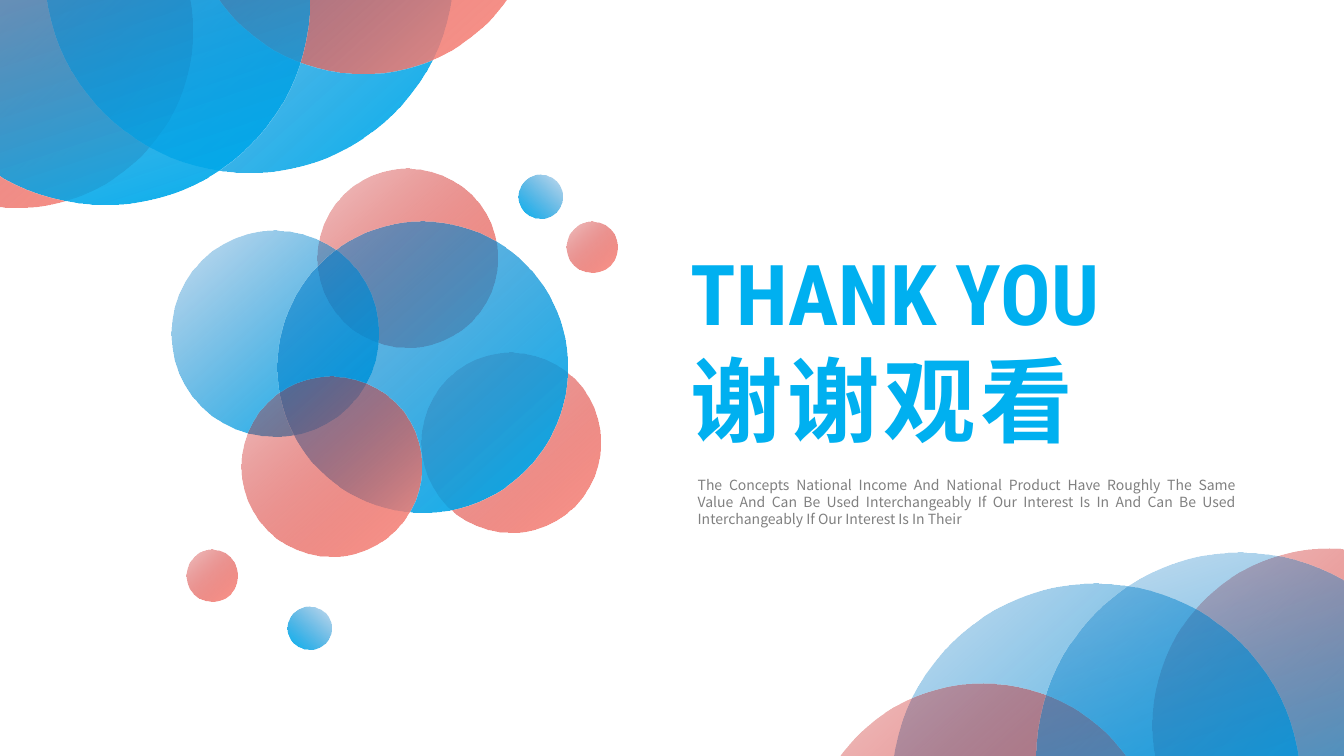
from pptx import Presentation
from pptx.dml.color import RGBColor
from pptx.enum.shapes import MSO_SHAPE
from pptx.enum.text import MSO_ANCHOR, MSO_AUTO_SIZE, PP_ALIGN
from pptx.oxml.ns import qn
from pptx.util import Inches, Pt
from lxml import etree

OVAL = MSO_SHAPE.OVAL
TOP = MSO_ANCHOR.TOP
NO_FIT = MSO_AUTO_SIZE.NONE
LEFT, JUSTIFY = PP_ALIGN.LEFT, PP_ALIGN.JUSTIFY

# Content
COLORS = {"accent": "00B0F0", "body": "808080"}
GRADIENTS = {"red": ("C00000", "FE978C"), "blue": ("0070C0", "00B0F0")}
LATIN, CJK = "Roboto Condensed", "Noto Sans CJK SC"
HEADING = [
    ("THANK YOU", LATIN, 60, 0),
    ("谢谢观看", CJK, 66, 300),
]
DESCRIPTION = (
    "The Concepts National Income And National Product Have Roughly The Same "
    "Value And Can Be Used Interchangeably If Our Interest Is In And Can Be Used "
    "Interchangeably If Our Interest Is In Their"
)

# Bubbles, back to front: gradient, centre x, centre y, diameter,
# clockwise gradient angle, opacity of the first stop in percent
BUBBLES = [
    # top left corner
    ("red", 0.16, 0.31, 3.5, 48, 22),
    ("blue", 2.47, -0.31, 4.05, 48, 22),
    ("red", 3.6, -1.02, 3.5, 48, 22),
    ("blue", 1.04, 0, 4.05, 72, 22),
    # bottom right corner
    ("red", 13.18, 7.19, 3.5, 48, 22),
    ("blue", 10.87, 7.81, 4.05, 48, 22),
    ("red", 9.75, 8.53, 3.5, 48, 22),
    ("blue", 12.3, 7.51, 4.05, 72, 22),
    # centre cluster
    ("red", 4.04, 2.56, 1.78, 48, 22),
    ("red", 5.07, 4.39, 1.78, 48, 22),
    ("blue", 2.73, 3.31, 2.05, 48, 22),
    ("blue", 4.19, 3.64, 2.88, 48, 44),
    ("blue", 5.36, 1.95, 0.43, 132, 22),
    ("red", 5.87, 2.45, 0.51, 48, 22),
    ("red", 3.29, 4.63, 1.78, 48, 22),
    ("blue", 3.07, 6.23, 0.43, 132, 22),
    ("red", 2.1, 5.71, 0.51, 48, 22),
]


def add_bubble(slide, gradient, x, y, diameter, angle, opacity):
    corner = Inches(x - diameter / 2), Inches(y - diameter / 2)
    bubble = slide.shapes.add_shape(OVAL, *corner, Inches(diameter), Inches(diameter))
    bubble.shadow.inherit = False
    bubble.line.fill.background()
    bubble.fill.gradient()
    bubble.fill.gradient_angle = 360 - angle
    for stop, color in zip(bubble.fill.gradient_stops, GRADIENTS[gradient]):
        stop.color.rgb = RGBColor.from_string(color)
    first_color = next(bubble._element.spPr.iter(qn("a:srgbClr")))
    etree.SubElement(first_color, qn("a:alpha"), val=str(opacity * 1000))


def format_frame(frame, **values):
    for name, value in values.items():
        setattr(frame, name, value)


def add_run(paragraph, text, typeface, size, color, bold=False, spacing=0):
    run = paragraph.add_run()
    run.text = text
    font_format = {"name": typeface, "size": Pt(size), "bold": bold}
    for name, value in font_format.items():
        setattr(run.font, name, value)
    run.font.color.rgb = RGBColor.from_string(COLORS[color])
    properties = run._r.get_or_add_rPr()
    properties.find(qn("a:latin")).addnext(
        etree.Element(qn("a:ea"), typeface=typeface))
    if spacing:
        properties.set("spc", str(spacing))


def main():
    deck = Presentation()
    deck.slide_width, deck.slide_height = Inches(13.33), Inches(7.5)
    slide = deck.slides.add_slide(deck.slide_layouts[5])

    for bubble in BUBBLES:
        add_bubble(slide, *bubble)

    # Heading in two languages
    heading = slide.shapes.title
    heading.left, heading.top = Inches(6.75), Inches(2.35)
    heading.width, heading.height = Inches(5.93), Inches(2.22)
    frame = heading.text_frame
    format_frame(frame, word_wrap=True, auto_size=NO_FIT, vertical_anchor=TOP)
    for index, (text, typeface, size, spacing) in enumerate(HEADING):
        paragraph = frame.add_paragraph() if index else frame.paragraphs[0]
        paragraph.alignment = LEFT
        add_run(paragraph, text, typeface, size, "accent", True, spacing)

    # Description
    description = slide.shapes.add_textbox(
        Inches(6.85), Inches(4.69), Inches(5.47), Inches(0.75))
    frame = description.text_frame
    format_frame(frame, word_wrap=True, auto_size=NO_FIT, vertical_anchor=TOP,
                 margin_left=Inches(0.07), margin_right=Inches(0.07),
                 margin_top=Inches(0.04), margin_bottom=Inches(0.04))
    frame.paragraphs[0].alignment = JUSTIFY
    add_run(frame.paragraphs[0], DESCRIPTION, CJK, 10, "body")

    deck.save("out.pptx")


if __name__ == "__main__":
    main()
